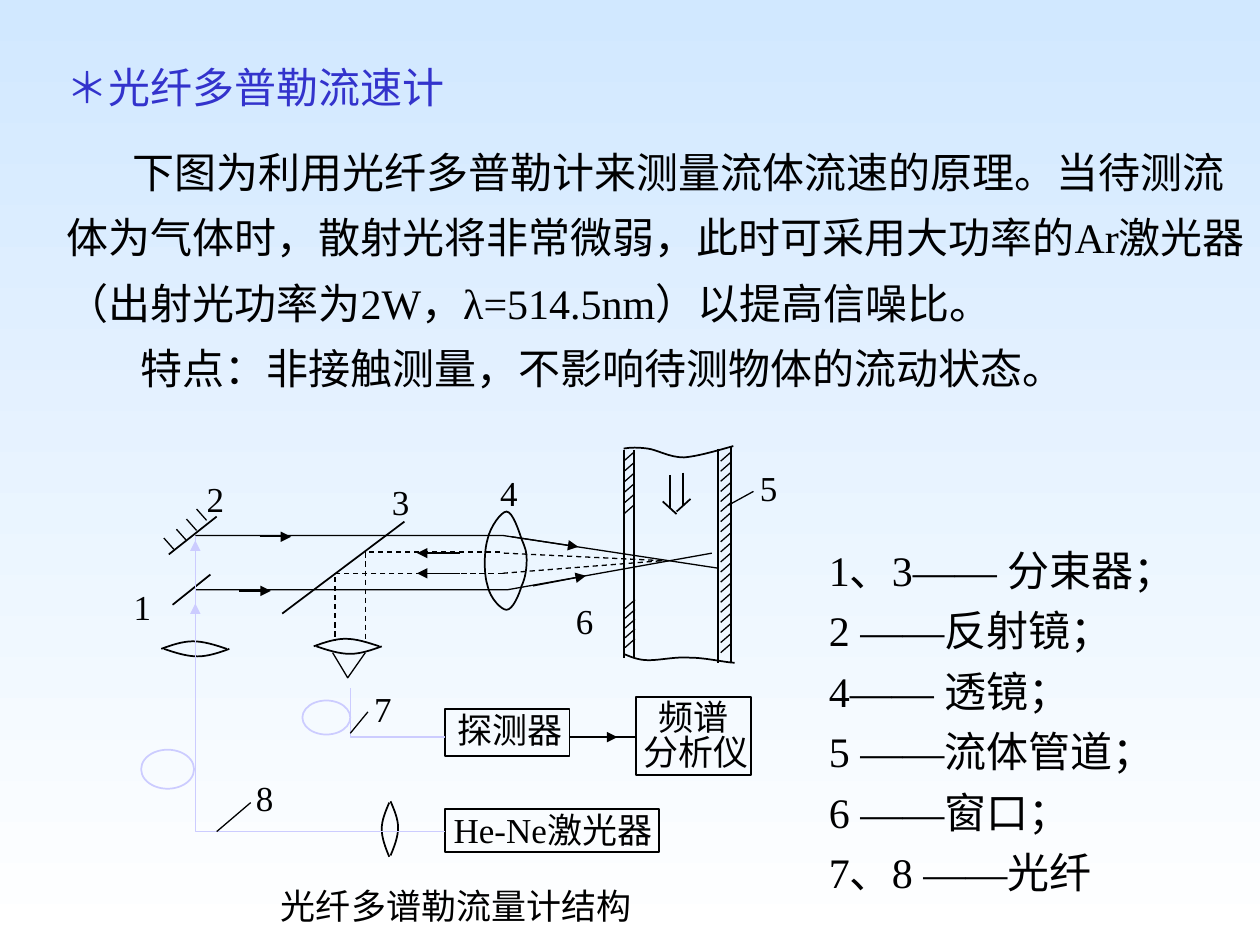
from dataclasses import dataclass
from typing import Any

from lxml import etree
from pptx import Presentation
from pptx.dml.color import RGBColor
from pptx.enum.dml import MSO_LINE
from pptx.enum.shapes import MSO_CONNECTOR, MSO_SHAPE
from pptx.oxml.ns import qn
from pptx.util import Inches, Pt

STRAIGHT = MSO_CONNECTOR.STRAIGHT
RECTANGLE, OVAL = MSO_SHAPE.RECTANGLE, MSO_SHAPE.OVAL
DASH = MSO_LINE.DASH
FONT = "Times New Roman"
BLACK, BLUE, FIBRE = "000000", "3333CC", "CCCCFF"
THIN, THICK = 0.75, 1


def color(value):
    return RGBColor.from_string(value)


def style_line(shape, ink, weight, dashed=False):
    shape.line.color.rgb = color(ink)
    shape.line.width = Pt(weight)
    if dashed:
        shape.line.dash_style = DASH


def add_text(page, box, lines, size, ink=BLACK, spacing=1.0, margins=True, indents=()):
    left, top, width, height = map(Inches, box)
    frame = page.shapes.add_textbox(left, top, width, height).text_frame
    frame.word_wrap = True
    if not margins:
        frame.margin_left = frame.margin_right = frame.margin_top = frame.margin_bottom = 0
    frame.text = "\n".join(lines)
    for para in frame.paragraphs:
        para.line_spacing = spacing
        for span in para.runs:
            span.font.name = FONT
            span.font.size = Pt(size)
            span.font.color.rgb = color(ink)
    for para, indent in zip(frame.paragraphs, indents):
        props = para._p.get_or_add_pPr()
        props.set("marL", "0")
        props.set("indent", str(Inches(indent)))


@dataclass
class Region:
    """Draws in inches measured from the region's left top corner."""
    page: Any
    left: float
    top: float

    def line(self, x1, y1, x2, y2, weight=THIN, ink=BLACK, arrow=False):
        dx, dy = self.left, self.top
        link = self.page.shapes.add_connector(
            STRAIGHT, Inches(dx + x1), Inches(dy + y1), Inches(dx + x2), Inches(dy + y2))
        style_line(link, ink, weight)
        if arrow:
            etree.SubElement(link.line._get_or_add_ln(), qn("a:tailEnd"), type="triangle")
        etree.SubElement(link._element.spPr, qn("a:effectLst"))

    def path_line(self, points, weight=THIN, ink=BLACK, dashed=False, close=False):
        spots = [(Inches(self.left + x), Inches(self.top + y)) for x, y in points]
        builder = self.page.shapes.build_freeform(*spots[0])
        builder.add_line_segments(spots[1:], close=close)
        shape = builder.convert_to_shape()
        shape.shadow.inherit = False
        shape.fill.background()
        style_line(shape, ink, weight, dashed)
        return shape

    def curve(self, points, close=False):
        """A start, then two control points and an end for each cubic segment."""
        shape = self.path_line(points, THICK, close=close)
        steps = list(shape._element.iter(qn("a:lnTo")))
        for first, second, end in zip(steps[::3], steps[1::3], steps[2::3]):
            first.tag = qn("a:cubicBezTo")
            for step in (second, end):
                first.append(step[0])
                step.getparent().remove(step)

    def outline(self, kind, x, y, width, height, ink=BLACK):
        shape = self.page.shapes.add_shape(
            kind, Inches(self.left + x), Inches(self.top + y), Inches(width), Inches(height))
        shape.shadow.inherit = False
        shape.fill.background()
        style_line(shape, ink, THICK)

    def label(self, text, x, y, width=0.19, height=0.31):
        add_text(self.page, (self.left + x, self.top + y, width, height), [text], 20,
                 margins=False)

    def flat_lens(self, x, y):
        arc = ((0, 0), (0.08, 0.03), (0.17, 0.06), (0.25, 0.06),
               (0.34, 0.06), (0.43, 0.03), (0.52, 0))
        self.curve([(x + dx, y - dy) for dx, dy in arc])
        self.curve([(x + 0.54 - dx, y + dy) for dx, dy in arc])

    def hatch(self, x, top, bottom, count):
        step = (bottom - top) / (count - 1)
        for index in range(count):
            y = top + index * step
            self.line(x, y, x + 0.08, y - 0.07)


def draw_pipe(page, left, top):
    pipe = Region(page, left, top)
    # Walls and broken ends
    for x, start, end in ((0, 0.03, 1.68), (0.08, 0.03, 1.68),
                          (0.75, 0.02, 1.72), (0.85, 0.01, 1.71)):
        pipe.line(x, start, x, end, THICK)
    pipe.curve([(0, 0.02), (0.06, 0.01), (0.11, 0.01), (0.19, 0.02),
                (0.27, 0.03), (0.36, 0.09), (0.48, 0.09),
                (0.59, 0.08), (0.73, 0.04), (0.87, 0)])
    pipe.curve([(0, 1.65), (0.05, 1.67), (0.11, 1.7), (0.2, 1.7),
                (0.29, 1.7), (0.42, 1.67), (0.53, 1.68),
                (0.65, 1.68), (0.82, 1.72), (0.88, 1.72)])
    pipe.hatch(0.77, 0.12, 1.64, 20)
    pipe.hatch(0, 0.12, 0.54, 6)
    pipe.hatch(0.01, 1.29, 1.6, 5)
    # Flow arrow
    for ends in ((0.53, 0.42, 0.42, 0.52), (0.42, 0.54, 0.31, 0.44),
                 (0.37, 0.23, 0.37, 0.49), (0.47, 0.21, 0.47, 0.47)):
        pipe.line(*ends, THICK)
    pipe.label("5", 1.08, 0.16)
    pipe.line(1.03, 0.36, 0.83, 0.47)


def draw_optics(page, left, top):
    optics = Region(page, left, top)
    # Focusing lens and the two flat lenses
    optics.curve([(3.02, 0.06), (2.98, 0.06), (2.89, 0.18), (2.87, 0.28),
                  (2.84, 0.38), (2.84, 0.56), (2.87, 0.65),
                  (2.89, 0.75), (2.98, 0.84), (3.02, 0.84),
                  (3.07, 0.84), (3.12, 0.72), (3.14, 0.65),
                  (3.17, 0.59), (3.18, 0.51), (3.18, 0.44),
                  (3.18, 0.38), (3.17, 0.35), (3.14, 0.28),
                  (3.12, 0.22), (3.07, 0.06), (3.02, 0.06)], close=True)
    optics.flat_lens(0.28, 1.15)
    optics.flat_lens(1.49, 1.13)
    # Splitters, mirror and its hatching
    for ends in ((2.21, 0.14, 1.24, 0.87), (0.72, 0.1, 0.34, 0.4), (0.67, 0.56, 0.37, 0.8)):
        optics.line(*ends, THICK)
    for x, y in ((0.56, 0.04), (0.48, 0.12), (0.4, 0.2), (0.3, 0.27)):
        optics.line(x, y, x + 0.08, y + 0.09)
    # Outgoing beams and scattered light
    optics.path_line([(0.55, 0.25), (2.99, 0.25), (4.7, 0.51)])
    optics.path_line([(0.55, 0.68), (3.03, 0.68), (4.65, 0.39)])
    for route in ([(2.97, 0.38), (1.9, 0.38), (1.9, 1.07)],
                  [(2.99, 0.55), (1.66, 0.55), (1.66, 1.09)],
                  [(3, 0.39), (4.26, 0.45)], [(2.99, 0.55), (4.26, 0.45)]):
        optics.path_line(route, dashed=True)
    optics.path_line([(1.9, 1.18), (1.76, 1.38), (1.64, 1.18)])
    # Beam directions
    for ends in ((1.06, 0.26, 1.31, 0.26), (0.9, 0.69, 1.15, 0.69),
                 (2.65, 0.39, 2.31, 0.39), (2.65, 0.55, 2.31, 0.55),
                 (3.06, 0.26, 3.59, 0.34), (3.23, 0.65, 3.65, 0.57)):
        optics.line(*ends, arrow=True)
    for number, x, y in (("1", 0.06, 0.65), ("2", 0.64, -0.21), ("3", 2.11, -0.19),
                         ("4", 2.97, -0.26), ("6", 3.57, 0.76)):
        optics.label(number, x, y)


def draw_instruments(page, left, top):
    bench = Region(page, left, top)
    # Instruments
    for x, y, width, height in ((2.53, 0.63, 0.99, 0.37), (4.05, 0.53, 0.91, 0.62),
                                (2.53, 1.42, 1.7, 0.34)):
        bench.outline(RECTANGLE, x, y, width, height)
    bench.label("探测器", 2.63, 0.62, 1.08, 0.3)
    bench.label("频谱", 4.23, 0.52, 0.65, 0.34)
    bench.label("分析仪", 4.11, 0.8, 0.86, 0.39)
    bench.label("He-Ne激光器", 2.6, 1.42, 1.75, 0.35)
    bench.line(3.52, 0.85, 4.05, 0.85)
    bench.line(3.65, 0.85, 3.9, 0.85, arrow=True)
    # Upright lens
    for x, y, bulge in ((2.09, 1.37, -0.06), (2.1, 1.36, 0.06)):
        bench.curve([(x, y), (x + bulge / 2, y + 0.07), (x + bulge, y + 0.14),
                     (x + bulge, y + 0.21), (x + bulge, y + 0.28),
                     (x + bulge / 2, y + 0.36), (x, y + 0.43)])
    # Fibres with their coils
    bench.path_line([(2.53, 1.6), (0.55, 1.6), (0.55, -0.75)], ink=FIBRE)
    bench.path_line([(2.53, 0.85), (1.78, 0.85), (1.78, 0.46)], ink=FIBRE)
    bench.outline(OVAL, 1.4, 0.56, 0.38, 0.27, FIBRE)
    bench.outline(OVAL, 0.12, 0.95, 0.42, 0.31, FIBRE)
    for y in (-0.46, 0.04):
        bench.line(0.55, y, 0.55, y - 0.25, ink=FIBRE, arrow=True)
    # Numbers with leaders
    bench.label("7", 1.97, 0.46)
    bench.label("8", 1.03, 1.16)
    bench.line(1.92, 0.65, 1.78, 0.82)
    bench.line(0.99, 1.37, 0.72, 1.6)
    bench.label("光纤多谱勒流量计结构", 1.23, 2.02, 3.15, 0.33)


def paint_background(page):
    fill = page.background.fill
    fill.gradient()
    fill.gradient_angle = 270
    for stop, (position, value) in zip(fill.gradient_stops, ((0, "D1E8FF"), (1, "FFFFFF"))):
        stop.position = position
        stop.color.rgb = color(value)


def main():
    deck = Presentation()
    deck.slide_width, deck.slide_height = Inches(10), Inches(7.5)
    page = deck.slides.add_slide(deck.slide_layouts[6])
    paint_background(page)
    add_text(page, (0.43, 0.36, 5.28, 0.54), ["＊光纤多普勒流速计"], 24, BLUE, 1.2)
    add_text(page, (0.43, 0.99, 9.57, 2.18), [
        "下图为利用光纤多普勒计来测量流体流速的原理。当待测流体为气体时，散射光将非常微弱，"
        "此时可采用大功率的Ar激光器（出射光功率为2W，λ=514.5nm）以提高信噪比。",
        "特点：非接触测量，不影响待测物体的流动状态。"], 24, spacing=1.3, indents=(0.52, 0.59))
    draw_pipe(page, 4.95, 3.54)
    draw_optics(page, 1, 4)
    draw_instruments(page, 1, 5)
    add_text(page, (6.48, 4.19, 3.23, 2.98), [
        "1、3—— 分束器；", "2 ——反射镜；", "4—— 透镜；",
        "5 ——流体管道；", "6 ——窗口；", "7、8 ——光纤"], 24, spacing=1.2)
    deck.save("out.pptx")


if __name__ == "__main__":
    main()
